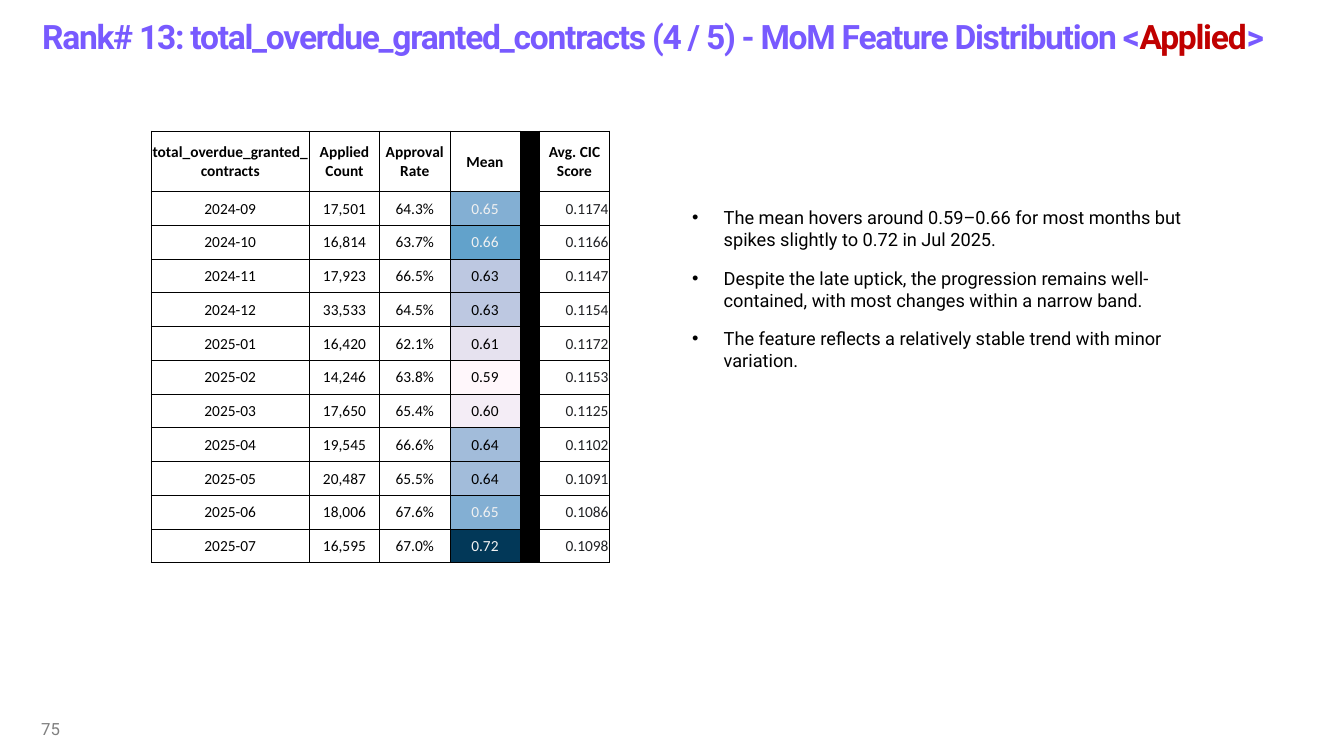
import pptx
import pptx.util
import pptx.dml.color
import pptx.enum.text
import lxml.etree

Pt = pptx.util.Pt
Align = pptx.enum.text.PP_ALIGN
Anchor = pptx.enum.text.MSO_ANCHOR

HUES = {
    "title": "785AFF", "accent": "C00000", "page": "808080",
    "ink": "000000", "score": "202124", "pale": "F1F1F1", "white": "FFFFFF",
}
HEAT = {
    "0.59": "FFF7FB", "0.60": "F4EDF6", "0.61": "E6E2EF", "0.63": "BDC8E1",
    "0.64": "A2BCDA", "0.65": "83AFD3", "0.66": "62A2CB", "0.72": "023858",
}
PALE_MEANS = ("0.65", "0.66", "0.72")

HEADS = ["total_overdue_granted_contracts", "Applied Count", "Approval Rate",
         "Mean", "", "Avg. CIC Score"]
MONTHS = [
    ("2024-09", "17,501", "64.3%", "0.65", "", "0.1174"),
    ("2024-10", "16,814", "63.7%", "0.66", "", "0.1166"),
    ("2024-11", "17,923", "66.5%", "0.63", "", "0.1147"),
    ("2024-12", "33,533", "64.5%", "0.63", "", "0.1154"),
    ("2025-01", "16,420", "62.1%", "0.61", "", "0.1172"),
    ("2025-02", "14,246", "63.8%", "0.59", "", "0.1153"),
    ("2025-03", "17,650", "65.4%", "0.60", "", "0.1125"),
    ("2025-04", "19,545", "66.6%", "0.64", "", "0.1102"),
    ("2025-05", "20,487", "65.5%", "0.64", "", "0.1091"),
    ("2025-06", "18,006", "67.6%", "0.65", "", "0.1086"),
    ("2025-07", "16,595", "67.0%", "0.72", "", "0.1098"),
]
MEAN, GAP, SCORE = 3, 4, 5
WIDTHS = [113, 50.2, 50.2, 50.2, 13.8, 50.2]
HEAD_HIGH, ROW_HIGH = 43.2, 24.1

TITLE = [
    ("Rank# 13: total_overdue_granted_contracts (4 / 5) - MoM Feature Distribution <", "title"),
    ("Applied", "accent"),
    (">", "title"),
]
NOTES = [
    "The mean hovers around 0.59–0.66 for most months but spikes slightly to 0.72 in Jul 2025.",
    "Despite the late uptick, the progression remains well-contained, with most changes within a narrow band.",
    "The feature reflects a relatively stable trend with minor variation.",
]


def paint(hue):
    return pptx.dml.color.RGBColor.from_string(hue)


def add(node, tag, **attrs):
    return lxml.etree.SubElement(node, pptx.oxml.ns.qn(tag), attrs)


class Deck:
    text_font = "Roboto"
    table_font = "Calibri"

    def __init__(self, wide, high):
        self.show = pptx.Presentation()
        self.show.slide_width, self.show.slide_height = Pt(wide), Pt(high)
        self.slide = self.show.slides.add_slide(self.show.slide_layouts[6])

    def style(self, para, face, size, hue=None, bold=False):
        font = para.font
        font.name, font.size, font.bold = face, Pt(size), bold
        if hue:
            font.color.rgb = paint(hue)

    def box(self, left, top, wide, high, anchor):
        shape = self.slide.shapes.add_textbox(Pt(left), Pt(top), Pt(wide), Pt(high))
        frame = shape.text_frame
        frame.word_wrap = True
        frame.vertical_anchor = anchor
        return frame

    def title(self, parts):
        para = self.box(23, 0, 930.2, 51.8, Anchor.MIDDLE).paragraphs[0]
        self.style(para, self.text_font, 24, bold=True)
        for text, hue in parts:
            run = para.add_run()
            run.text = text
            run.font.color.rgb = paint(HUES[hue])
            run.font._element.set("spc", "-90")

    def page(self, text):
        para = self.box(22.3, 506.2, 216, 28.8, Anchor.MIDDLE).paragraphs[0]
        para.text = text
        para.space_after = Pt(6)
        self.style(para, self.text_font, 12, HUES["page"])

    def bullets(self, lines):
        frame = self.box(487.4, 144, 372.2, 126, Anchor.TOP)
        for i, line in enumerate(lines):
            para = frame.add_paragraph() if i else frame.paragraphs[0]
            para.text = line
            para.space_after = Pt(12)
            props = para._p.get_or_add_pPr()
            props.set("marL", str(Pt(22.5)))
            props.set("indent", str(Pt(-22.5)))
            add(props, "a:buFont", typeface="Arial")
            add(props, "a:buChar", char="•")
            self.style(para, self.text_font, 13, HUES["ink"])

    def cell(self, cell, text, fill, hue, align, bold):
        cell.margin_left = cell.margin_right = cell.margin_top = Pt(0.75)
        cell.margin_bottom = 0
        cell.vertical_anchor = Anchor.MIDDLE
        props = cell._tc.get_or_add_tcPr()
        for side in ("a:lnL", "a:lnR", "a:lnT", "a:lnB"):
            line = add(props, side, w=str(Pt(0.5)))
            add(add(line, "a:solidFill"), "a:srgbClr", val=HUES["ink"])
        cell.fill.solid()
        cell.fill.fore_color.rgb = paint(fill)
        para = cell.text_frame.paragraphs[0]
        para.alignment = align
        if text:
            para.text = text
        else:
            add(para._p, "a:endParaRPr", sz="1100")
        self.style(para, self.table_font, 11, hue, bold)

    def table(self, left, top, rows):
        high = HEAD_HIGH + ROW_HIGH * (len(rows) - 1)
        table = self.slide.shapes.add_table(
            len(rows), len(WIDTHS), Pt(left), Pt(top), Pt(sum(WIDTHS)), Pt(high)).table
        table.first_row = table.horz_banding = False
        for col, wide in zip(table.columns, WIDTHS):
            col.width = Pt(wide)
        for r, row in enumerate(rows):
            table.rows[r].height = Pt(ROW_HIGH if r else HEAD_HIGH)
            for c, text in enumerate(row):
                fill, hue, align = HUES["white"], HUES["ink"], Align.CENTER
                if c == GAP:
                    fill = HUES["ink"]
                elif r and c == MEAN:
                    fill = HEAT[text]
                    hue = HUES["pale" if text in PALE_MEANS else "ink"]
                elif r and c == SCORE:
                    hue, align = HUES["score"], Align.RIGHT
                self.cell(table.cell(r, c), text, fill, hue, align, r == 0)


def main():
    deck = Deck(960, 540)
    deck.title(TITLE)
    deck.page("75")
    deck.bullets(NOTES)
    deck.table(108, 93.6, [HEADS] + MONTHS)
    deck.show.save("out.pptx")


if __name__ == "__main__":
    main()
